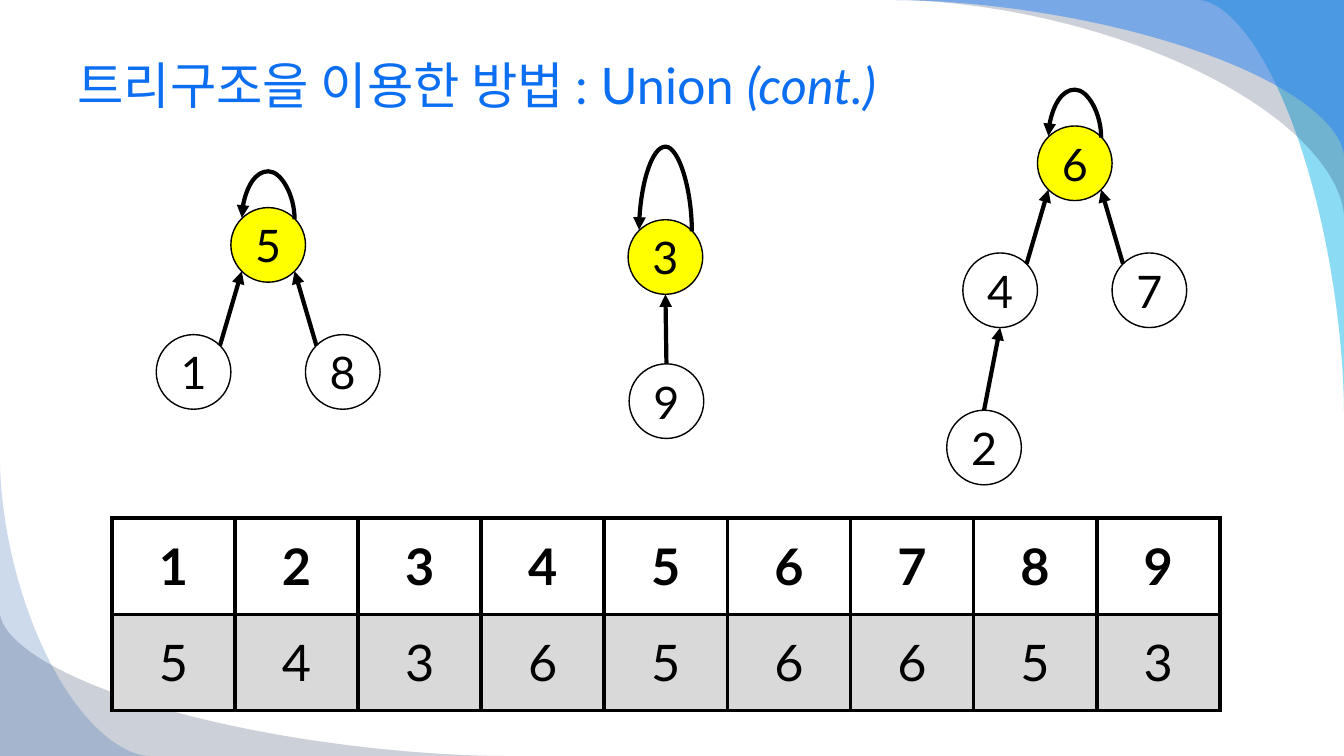
import math
import pptx
import pptx.chart.data
import pptx.dml.color
import pptx.enum.dml
import pptx.enum.shapes
import pptx.enum.text
import pptx.oxml
import pptx.oxml.ns
import pptx.util
from lxml import etree

Inches = pptx.util.Inches
Pt = pptx.util.Pt
Color = pptx.dml.color.RGBColor
Align = pptx.enum.text.PP_ALIGN
Anchor = pptx.enum.text.MSO_ANCHOR
Line = pptx.enum.shapes.MSO_CONNECTOR
Shape = pptx.enum.shapes.MSO_SHAPE
qn = pptx.oxml.ns.qn

BLACK = Color(0x00, 0x00, 0x00)
WHITE = Color(0xFF, 0xFF, 0xFF)
GREY = Color(0xD9, 0xD9, 0xD9)
YELLOW = Color(0xFF, 0xFF, 0x00)
BLUE = Color(0x0C, 0x6F, 0xF2)
CYAN = Color(0x00, 0xB1, 0xE9)
NAVY = Color(0x02, 0x17, 0x41)
SKY = Color(0x24, 0x7F, 0xF4)
ROYAL = Color(0x08, 0x4A, 0xA1)

FONT = "Lato"
WIDE, HIGH = 13.33, 7.5
SIZE = 0.74
BEND = 1.75  # exponent of the wave curves
DIP = 0.014  # height difference between the ends of a loop

# corner, far tip, near tip, colour, opacity in percent
WAVES = [
    ((WIDE, 0), (WIDE, 4.08), (11.89, 0), CYAN, 45),
    ((WIDE, 0), (8.89, 0), (WIDE, 2.15), NAVY, 20),
    ((WIDE, 0), (8.89, 0), (WIDE, 1.55), SKY, 49),
    ((0, HIGH), (5, HIGH), (0, 6.08), NAVY, 20),
    ((0, HIGH), (0, 4.58), (1.48, HIGH), ROYAL, 20),
]

# root centre, root, loop rise, children as (label, parent, dx, dy)
TREES = [
    (2.66, 2.43, "5", 0.47, [("1", "5", -0.74, 1.26), ("8", "5", 0.74, 1.26)]),
    (10.66, 1.62, "6", 0.47, [("4", "6", -0.74, 1.26), ("7", "6", 0.74, 1.26),
                              ("2", "4", -0.16, 1.56)]),
    (6.6, 2.55, "3", 0.83, [("9", "3", 0.01, 1.43)]),
]
PARENTS = ["5", "4", "3", "6", "5", "6", "6", "5", "3"]


def style(para, size, color, bold=False):
    para.font.name = FONT
    para.font.size = Pt(size)
    para.font.color.rgb = color
    para.font.bold = bold


def wave(slide, corner, far, near, color, alpha):
    """Fill the corner under a quarter superellipse from far to near."""
    steps = 48
    points = []
    for i in range(steps + 1):
        turn = math.pi / 2 * i / steps
        u = math.sin(turn) ** (2 / BEND)
        v = 1 - max(math.cos(turn), 0) ** (2 / BEND)
        points.append([Inches(f + u * (c - f) + v * (n - c))
                       for c, f, n in zip(corner, far, near)])
    path = slide.shapes.build_freeform(*points[0])
    path.add_line_segments(points[1:] + [[Inches(c) for c in corner]])
    shape = path.convert_to_shape()
    shape.shadow.inherit = False
    shape.line.fill.background()
    shape.fill.solid()
    shape.fill.fore_color.rgb = color
    tint = shape._element.spPr.find(".//" + qn("a:srgbClr"))
    etree.SubElement(tint, qn("a:alpha"), val=str(alpha * 1000))


def title(slide, x, y, w, h):
    box = slide.shapes.add_textbox(Inches(x), Inches(y), Inches(w), Inches(h))
    frame = box.text_frame
    frame.word_wrap = True
    frame.vertical_anchor = Anchor.MIDDLE
    para = frame.paragraphs[0]
    style(para, 36, BLUE)
    para.add_run().text = "트리구조을 이용한 방법 : Union "
    note = para.add_run()
    note.text = "(cont.)"
    note.font.italic = True


def node(slide, x, y, label, color):
    shape = slide.shapes.add_shape(
        Shape.OVAL, Inches(x - SIZE / 2), Inches(y - SIZE / 2),
        Inches(SIZE), Inches(SIZE))
    shape.shadow.inherit = False
    shape.fill.solid()
    shape.fill.fore_color.rgb = color
    shape.line.color.rgb = BLACK
    shape.line.width = Pt(1)
    shape.text_frame.vertical_anchor = Anchor.MIDDLE
    para = shape.text_frame.paragraphs[0]
    para.text = label
    para.alignment = Align.CENTER
    style(para, 32, BLACK)


def arrow(slide, kind, start, end):
    link = slide.shapes.add_connector(
        kind, *[Inches(n) for n in (*start, *end)])
    link.line.color.rgb = BLACK
    link.line.width = Pt(3)
    etree.SubElement(link.line._get_or_add_ln(), qn("a:tailEnd"),
                     type="triangle")
    etree.SubElement(link._element.spPr, qn("a:effectLst"))
    return link


def loop(slide, x, y, rise):
    """Arc over a root, from its upper right back to its upper left."""
    reach = SIZE / 2 * math.sqrt(0.5)
    mid = y - reach
    link = arrow(slide, Line.CURVE, (x - DIP / 2, mid + reach),
                 (x + DIP / 2, mid - reach))
    props = link._element.spPr
    props.find(qn("a:xfrm")).set("rot", str(270 * 60000))
    guides = props.find(qn("a:prstGeom")).find(qn("a:avLst"))
    etree.SubElement(guides, qn("a:gd"), name="adj1",
                     fmla=f"val {round(rise / DIP * 100000)}")


def port(spot, side, down):
    """Point on a node's rim: diagonal for a side, else straight."""
    reach = SIZE / 2 * (math.sqrt(0.5) if side else 1)
    return spot[0] + side * reach, spot[1] + down * reach


def tree(slide, x, y, root, rise, kids):
    spots = {root: (x, y)}
    node(slide, x, y, root, YELLOW)
    for label, parent, dx, dy in kids:
        top = spots[parent]
        spot = spots[label] = (top[0] + dx, top[1] + dy)
        node(slide, *spot, label, WHITE)
        side = 0 if abs(dx) < SIZE / 2 else math.copysign(1, dx)
        arrow(slide, Line.STRAIGHT, port(spot, -side, -1), port(top, side, 1))
    loop(slide, x, y, rise)


def border(cell):
    props = cell._tc.get_or_add_tcPr()
    for edge in ("lnL", "lnR", "lnT", "lnB"):
        line = etree.SubElement(props, qn("a:" + edge), w=str(Pt(3)))
        fill = etree.SubElement(line, qn("a:solidFill"))
        etree.SubElement(fill, qn("a:srgbClr"), val=str(BLACK))


def table(slide, x, y, w, h):
    heads = [str(i + 1) for i in range(len(PARENTS))]
    rows = [(heads, WHITE, True), (PARENTS, GREY, False)]
    grid = slide.shapes.add_table(len(rows), len(heads), Inches(x), Inches(y),
                                  Inches(w), Inches(h)).table
    grid.first_row = grid.horz_banding = False
    for r, (texts, color, bold) in enumerate(rows):
        for c, text in enumerate(texts):
            cell = grid.cell(r, c)
            border(cell)
            cell.fill.solid()
            cell.fill.fore_color.rgb = color
            cell.vertical_anchor = Anchor.MIDDLE
            para = cell.text_frame.paragraphs[0]
            para.text = text
            para.alignment = Align.CENTER
            style(para, 36, BLACK, bold)


def main():
    deck = pptx.Presentation()
    deck.slide_width = Inches(WIDE)
    deck.slide_height = Inches(HIGH)
    slide = deck.slides.add_slide(deck.slide_layouts[6])
    for item in WAVES:
        wave(slide, *item)
    title(slide, 0.67, 0.33, 12, 1.01)
    table(slide, 1.11, 5.14, 10.99, 1.91)
    for item in TREES:
        tree(slide, *item)
    deck.save("out.pptx")


if __name__ == "__main__":
    main()
